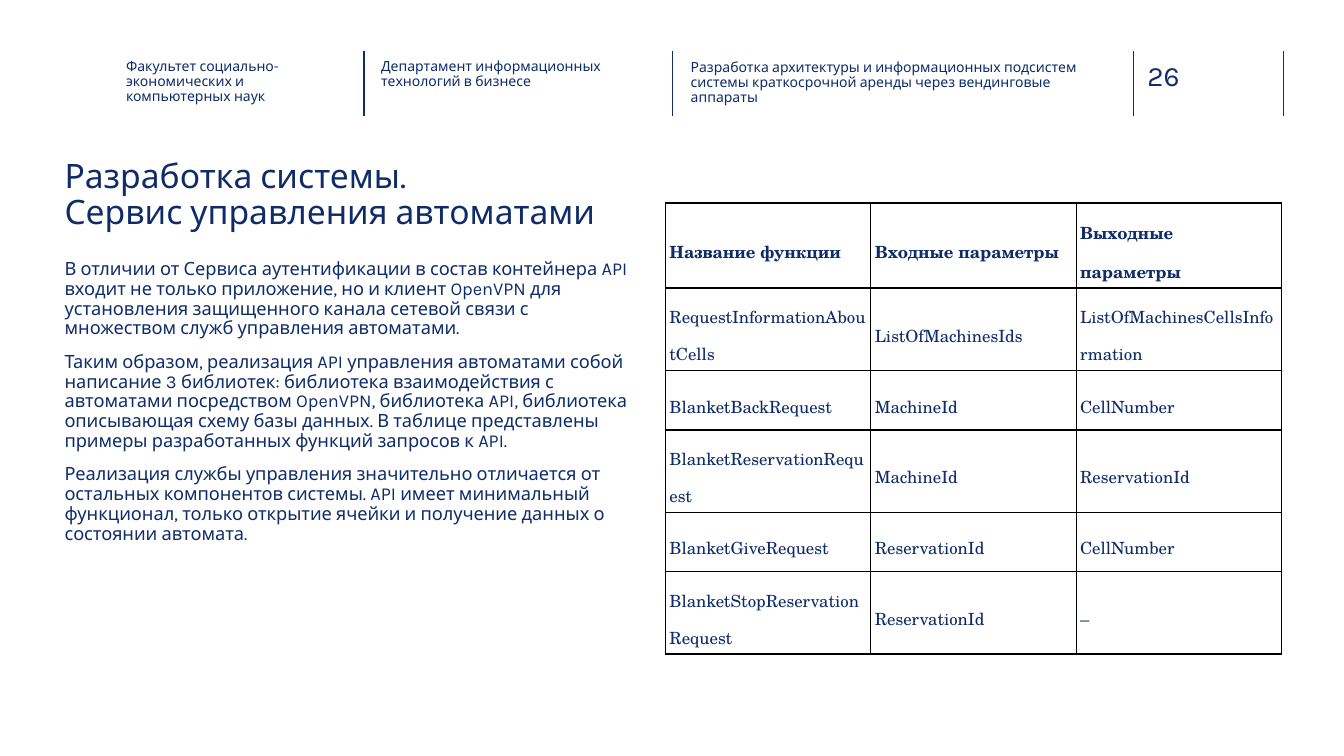
from lxml.etree import SubElement
from pptx import Presentation
from pptx.dml.color import RGBColor
from pptx.enum.shapes import MSO_CONNECTOR as Connector
from pptx.enum.text import MSO_ANCHOR as Anchor, MSO_AUTO_SIZE as AutoSize, PP_ALIGN as Align
from pptx.oxml.ns import qn
from pptx.util import Inches, Pt

COLORS = {"rule": "102D69", "title": "0F2C68", "body": "0E2D69", "border": "000000"}
TEXT_FONT, TABLE_FONT = "Karla", "TeX Gyre Schola"

HEADERS = [
    (1, 1.25, 0.59, 2.24, "Факультет социально-экономических и компьютерных наук", "title"),
    (3, 3.78, 0.59, 2.49, "Департамент информационных технологий в бизнесе", "body"),
    (4, 6.85, 0.6, 3.85,
     "Разработка архитектуры и информационных подсистем системы краткосрочной аренды "
     "через вендинговые аппараты", "body"),
]
SERVICE_NOTES = [
    "В отличии от Сервиса аутентификации в состав контейнера API входит не только приложение, "
    "но и клиент OpenVPN для установления защищенного канала сетевой связи с множеством служб "
    "управления автоматами.",
    "Таким образом, реализация API управления автоматами собой написание 3 библиотек: библиотека "
    "взаимодействия с автоматами посредством OpenVPN, библиотека API, библиотека описывающая "
    "схему базы данных. В таблице представлены примеры разработанных функций запросов к API.",
    "Реализация службы управления значительно отличается от остальных компонентов системы. API "
    "имеет минимальный функционал, только открытие ячейки и получение данных о состоянии автомата.",
]
FUNCTIONS = [
    ("Название функции", "Входные параметры", "Выходные параметры"),
    ("RequestInformationAboutCells", "ListOfMachinesIds", "ListOfMachinesCellsInformation"),
    ("BlanketBackRequest", "MachineId", "CellNumber"),
    ("BlanketReservationRequest", "MachineId", "ReservationId"),
    ("BlanketGiveRequest", "ReservationId", "CellNumber"),
    ("BlanketStopReservationRequest", "ReservationId", "–"),
]
ROW_HEIGHTS = [0.46, 0.76, 0.59, 0.76, 0.59, 0.76]


class SlideBuilder:
    def __init__(self, slide):
        self.slide = slide

    def style(self, font, size, color, name=TEXT_FONT, bold=False):
        font.name, font.size, font.bold = name, Pt(size), bold
        font.color.rgb = RGBColor.from_string(COLORS[color])

    def fill_text(self, holder, box, text, size, color, spacing=0.9, gap=0, bottom=0):
        holder.left, holder.top, holder.width, holder.height = map(Inches, box)
        frame = holder.text_frame
        frame.text = text
        frame.word_wrap, frame.auto_size = True, AutoSize.NONE
        frame.vertical_anchor = Anchor.TOP
        frame.margin_left = frame.margin_top = frame.margin_right = 0
        frame.margin_bottom = Inches(bottom)
        for number, paragraph in enumerate(frame.paragraphs):
            properties = paragraph._p.get_or_add_pPr()
            properties.set("marL", "0")
            properties.set("indent", "0")
            SubElement(properties, qn("a:buNone"))
            paragraph.alignment = Align.LEFT
            paragraph.line_spacing = spacing
            paragraph.space_before = Pt(gap if number else 0)
            paragraph.space_after = Pt(0)
            for run in paragraph.runs:
                self.style(run.font, size, color)

    def placeholder(self, idx, box, text, size, color, **layout):
        self.fill_text(self.slide.placeholders[idx], box, text, size, color, **layout)

    def page_number(self, box, text):
        holder = self.slide.shapes.add_textbox(*map(Inches, box))
        self.fill_text(holder, box, text, 20, "rule", spacing=1)

    def divider(self, x):
        line = self.slide.shapes.add_connector(
            Connector.STRAIGHT, Inches(x), Inches(0.51), Inches(x), Inches(1.15))
        line.line.color.rgb = RGBColor.from_string(COLORS["rule"])
        line.line.width = Pt(1)
        SubElement(line._element.spPr, qn("a:effectLst"))

    def border(self, cell, side, thick):
        edge = SubElement(cell._tc.get_or_add_tcPr(), qn(f"a:ln{side}"),
                          w=str(Pt(1.5 if thick else 1)))
        fill = SubElement(edge, qn("a:solidFill"))
        SubElement(fill, qn("a:srgbClr"), val=COLORS["border"])

    def table(self, box, rows, heights):
        table = self.slide.shapes.add_table(len(rows), len(rows[0]), *map(Inches, box)).table
        table.first_row = table.horz_banding = False
        last_row, last_column = len(rows) - 1, len(rows[0]) - 1
        for row, height in zip(table.rows, heights):
            row.height = Inches(height)
        for r, values in enumerate(rows):
            for c, value in enumerate(values):
                cell = table.cell(r, c)
                cell.text = value
                cell.vertical_anchor = Anchor.MIDDLE
                cell.margin_left = cell.margin_right = Inches(0.04)
                cell.margin_top = cell.margin_bottom = Inches(0.04)
                self.border(cell, "L", c == 0)
                self.border(cell, "R", c == last_column)
                self.border(cell, "T", r in (0, 1))
                self.border(cell, "B", r in (0, last_row))
                cell.fill.background()
                paragraph = cell.text_frame.paragraphs[0]
                paragraph.line_spacing = 1.5
                self.style(paragraph.runs[0].font, 12, "title", TABLE_FONT, r == 0)


def main():
    deck = Presentation()
    deck.slide_width, deck.slide_height = Inches(13.33), Inches(7.5)
    builder = SlideBuilder(deck.slides.add_slide(deck.slide_layouts[4]))
    for x in (3.61, 6.67, 11.24, 12.73):
        builder.divider(x)
    builder.page_number((11.38, 0.58, 0.73, 0.34), "26")
    builder.placeholder(0, (0.64, 1.58, 5.74, 0.85),
                        "Разработка системы.\vСервис управления автоматами", 24, "title")
    builder.placeholder(2, (0.64, 2.58, 5.74, 3.74), "\n".join(SERVICE_NOTES), 13, "body",
                        gap=10, bottom=0.05)
    for idx, left, top, width, text, color in HEADERS:
        builder.placeholder(idx, (left, top, width, 0.45), text, 10, color)
    builder.table((6.6, 2.01, 6.11, sum(ROW_HEIGHTS)), FUNCTIONS, ROW_HEIGHTS)
    deck.save("out.pptx")


if __name__ == "__main__":
    main()
